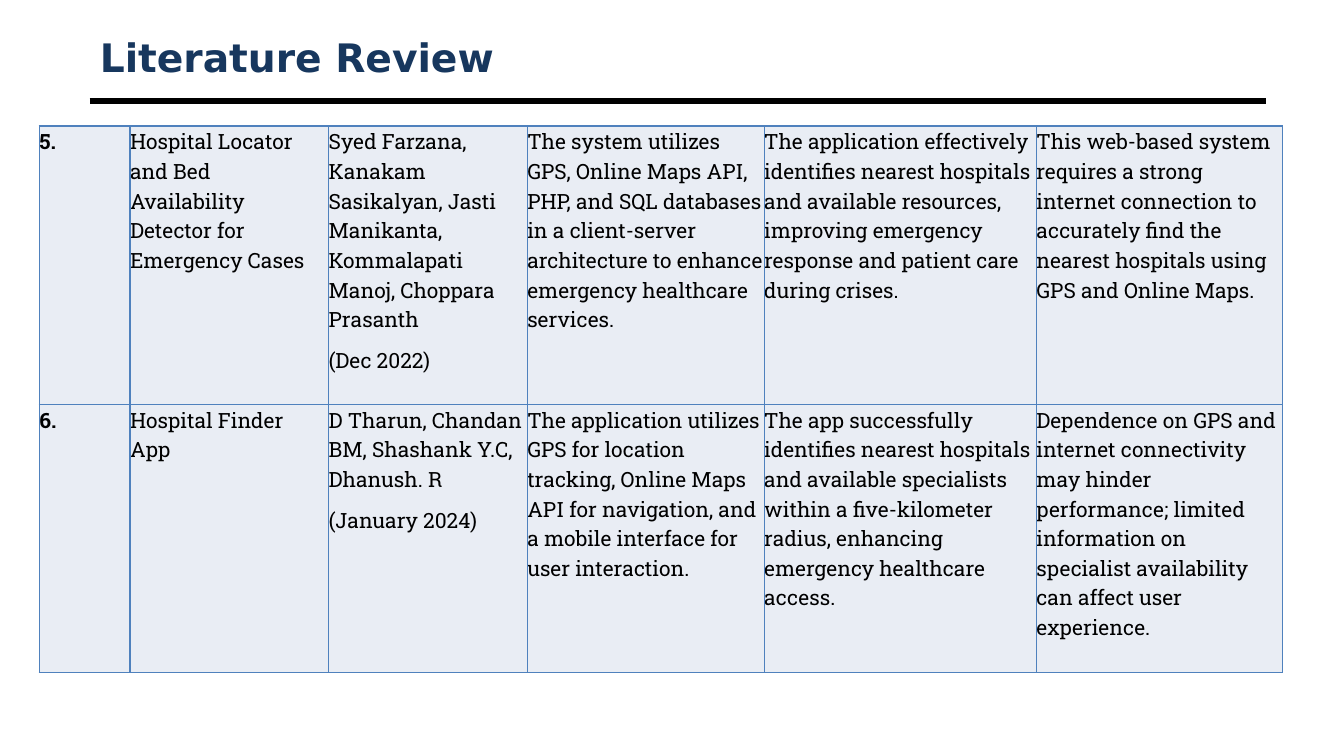
from dataclasses import dataclass

from lxml import etree
from pptx import Presentation
from pptx.dml.color import RGBColor
from pptx.enum.shapes import MSO_CONNECTOR
from pptx.enum.text import MSO_ANCHOR, MSO_AUTO_SIZE, PP_ALIGN
from pptx.oxml.ns import qn
from pptx.util import Inches, Pt

STRAIGHT = MSO_CONNECTOR.STRAIGHT
MIDDLE, TOP = MSO_ANCHOR.MIDDLE, MSO_ANCHOR.TOP
LEFT = PP_ALIGN.LEFT
NO_FIT = MSO_AUTO_SIZE.NONE

HEADING = "Literature Review"
STUDIES = [
    (
        ["5."],
        ["Hospital Locator and Bed Availability Detector for Emergency Cases"],
        ["Syed Farzana, Kanakam Sasikalyan, Jasti Manikanta, "
         "Kommalapati Manoj, Choppara Prasanth", "(Dec 2022)"],
        ["The system utilizes GPS, Online Maps API, PHP, and SQL databases in a "
         "client-server architecture to enhance emergency healthcare services."],
        ["The application effectively identifies nearest hospitals and available "
         "resources, improving emergency response and patient care during crises."],
        ["This web-based system requires a strong internet connection to accurately "
         "find the nearest hospitals using GPS and Online Maps."],
    ),
    (
        ["6."],
        ["Hospital Finder App"],
        ["D Tharun, Chandan BM, Shashank Y.C, Dhanush. R", "(January 2024)"],
        ["The application utilizes GPS for location tracking, Online Maps API for "
         "navigation, and a mobile interface for user interaction."],
        ["The app successfully identifies nearest hospitals and available specialists "
         "within a five-kilometer radius, enhancing emergency healthcare access."],
        ["Dependence on GPS and internet connectivity may hinder performance; limited "
         "information on specialist availability can affect user experience."],
    ),
]


@dataclass(frozen=True)
class Theme:
    heading_font: str = "DejaVu Sans"
    body_font: str = "Roboto Slab"
    heading_size: float = 28
    body_size: float = 15
    navy: str = "17375E"
    black: str = "000000"
    cell: str = "E9EDF4"
    border: str = "4F81BD"
    rule_width: float = 4.5
    border_width: float = 1


THEME = Theme()
SLIDE_WIDTH, SLIDE_HEIGHT = 13.33, 7.5
MARGIN, CONTENT_WIDTH = 0.89, 11.67
HEADING_TOP, HEADING_HEIGHT, RULE_TOP = 0.3, 0.53, 1
TABLE_LEFT, TABLE_TOP = 0.39, 1.25
COLUMNS = [0.9, 1.97, 1.97, 2.35, 2.7, 2.44]
ROWS = [2.76, 2.66]
CELL_FORMAT = {"margin_left": 0, "margin_right": 0, "margin_top": 0,
               "margin_bottom": 0, "vertical_anchor": TOP}
PARAGRAPH_FORMAT = {"alignment": LEFT, "line_spacing": 1.07, "space_after": Pt(8)}
HEADING_FORMAT = {"auto_size": NO_FIT, "word_wrap": True, "vertical_anchor": MIDDLE}


def apply(target, values):
    for attribute, value in values.items():
        setattr(target, attribute, value)


def write(paragraph, text, font, size, color, bold):
    run = paragraph.add_run()
    run.text = text
    apply(run.font, {"name": font, "size": Pt(size), "bold": bold})
    run.font.color.rgb = RGBColor.from_string(color)


def add_heading(slide):
    heading = slide.shapes.title
    box = (MARGIN, HEADING_TOP, CONTENT_WIDTH, HEADING_HEIGHT)
    apply(heading, dict(zip(("left", "top", "width", "height"), map(Inches, box))))
    apply(heading.text_frame, HEADING_FORMAT)
    paragraph = heading.text_frame.paragraphs[0]
    paragraph.alignment = LEFT
    write(paragraph, HEADING, THEME.heading_font, THEME.heading_size, THEME.navy, True)


def add_rule(slide):
    ends = (MARGIN, RULE_TOP, MARGIN + CONTENT_WIDTH, RULE_TOP)
    rule = slide.shapes.add_connector(STRAIGHT, *map(Inches, ends))
    rule.line.color.rgb = RGBColor.from_string(THEME.black)
    rule.line.width = Pt(THEME.rule_width)
    etree.SubElement(rule._element.spPr, qn("a:effectLst"))


def add_borders(cell):
    properties = cell._tc.get_or_add_tcPr()
    for side in ("lnL", "lnR", "lnT", "lnB"):
        line = etree.SubElement(properties, qn(f"a:{side}"),
                                w=str(Pt(THEME.border_width)))
        fill = etree.SubElement(line, qn("a:solidFill"))
        etree.SubElement(fill, qn("a:srgbClr"), val=THEME.border)


def fill_cell(cell, entries, bold):
    apply(cell, CELL_FORMAT)
    add_borders(cell)
    cell.fill.solid()
    cell.fill.fore_color.rgb = RGBColor.from_string(THEME.cell)
    frame = cell.text_frame
    for index, entry in enumerate(entries):
        paragraph = frame.add_paragraph() if index else frame.paragraphs[0]
        apply(paragraph, PARAGRAPH_FORMAT)
        write(paragraph, entry, THEME.body_font, THEME.body_size, THEME.black, bold)


def add_studies(slide):
    box = (TABLE_LEFT, TABLE_TOP, sum(COLUMNS), sum(ROWS))
    table = slide.shapes.add_table(len(ROWS), len(COLUMNS), *map(Inches, box)).table
    apply(table, {"first_row": False, "horz_banding": False})
    for column, width in zip(table.columns, COLUMNS):
        column.width = Inches(width)
    for row, height, study in zip(table.rows, ROWS, STUDIES):
        row.height = Inches(height)
        for index, (cell, entries) in enumerate(zip(row.cells, study)):
            fill_cell(cell, entries, bold=index == 0)


def main():
    deck = Presentation()
    apply(deck, {"slide_width": Inches(SLIDE_WIDTH), "slide_height": Inches(SLIDE_HEIGHT)})
    slide = deck.slides.add_slide(deck.slide_layouts.get_by_name("Title Only"))
    add_rule(slide)
    add_heading(slide)
    add_studies(slide)
    deck.save("out.pptx")


if __name__ == "__main__":
    main()
